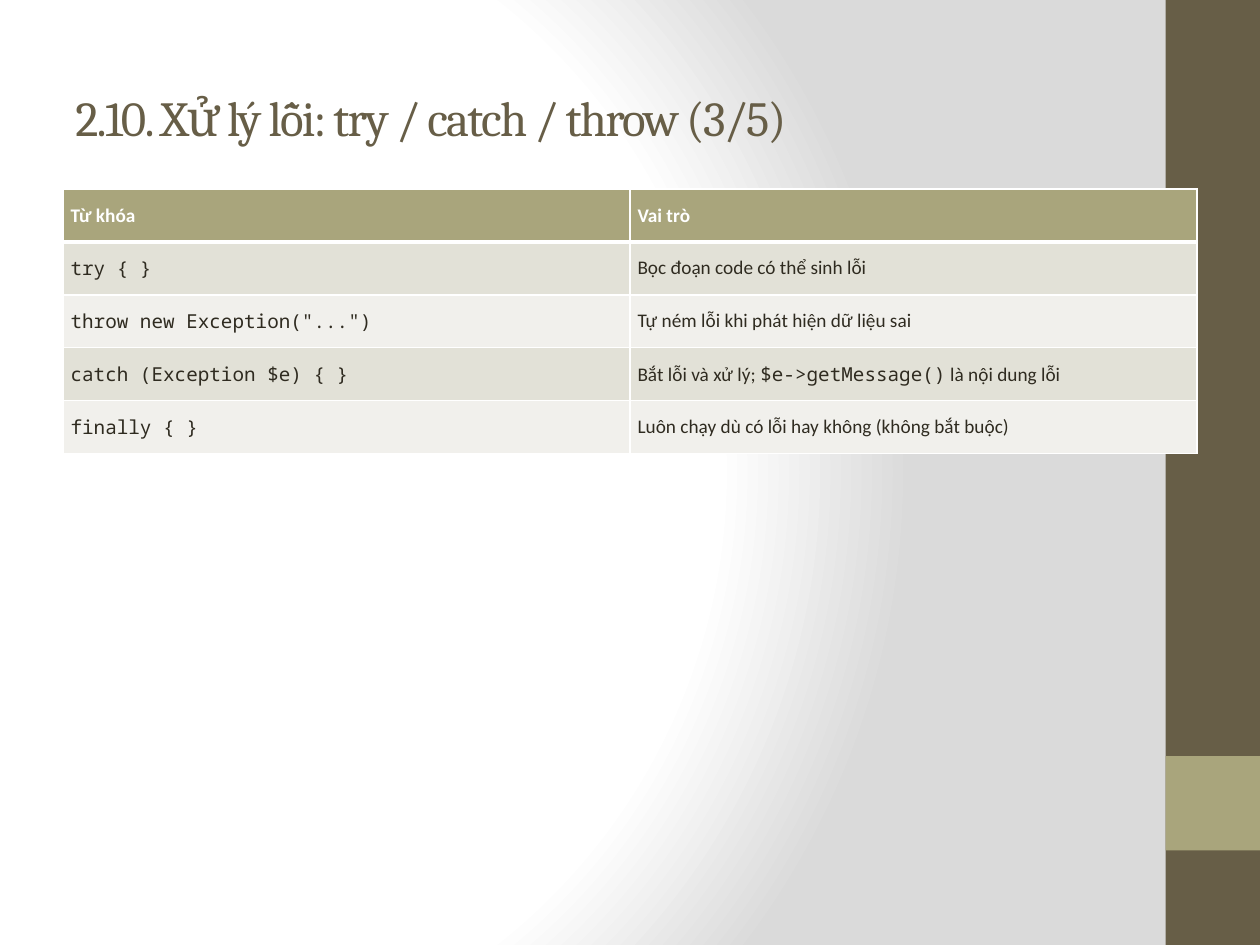
from lxml import etree
from pptx import Presentation
from pptx.dml.color import RGBColor
from pptx.enum.shapes import MSO_SHAPE
from pptx.enum.text import MSO_ANCHOR
from pptx.oxml import parse_xml
from pptx.oxml.ns import nsdecls, qn
from pptx.util import Inches, Pt

BROWN = RGBColor(0x67, 0x5E, 0x47)
OLIVE = RGBColor(0xA9, 0xA5, 0x7C)
DARK = RGBColor(0x2F, 0x2B, 0x20)
WHITE = RGBColor(0xFF, 0xFF, 0xFF)
GREY = RGBColor(0xDA, 0xDA, 0xDA)
BANDS = [RGBColor(0xE2, 0xE1, 0xD7), RGBColor(0xF1, 0xF0, 0xEC)]
HEADING, BODY, CODE = "Cambria", "Calibri", "Noto Sans Mono"

TITLE = "2.10. Xử lý lỗi: try / catch / throw (3/5)"
ROWS = [
    ([("Từ khóa", BODY)], [("Vai trò", BODY)]),
    ([("try { }", CODE)], [("Bọc đoạn code có thể sinh lỗi", BODY)]),
    ([('throw new Exception("...")', CODE)],
     [("Tự ném lỗi khi phát hiện dữ liệu sai", BODY)]),
    ([("catch (Exception $e) { }", CODE)],
     [("Bắt lỗi và xử lý; ", BODY), ("$e->getMessage()", CODE),
      (" là nội dung lỗi", BODY)]),
    ([("finally { }", CODE)],
     [("Luôn chạy dù có lỗi hay không (không bắt buộc)", BODY)]),
]
SIDEBAR = [(0, 7.5, BROWN), (6, 0.75, OLIVE)]
STOPS = [(0, WHITE), (75, WHITE), (100, GREY)]


def set_background(slide):
    slide.background.fill.gradient()
    old = next(slide.element.iter(qn("a:gradFill")))
    stops = "".join(
        f'<a:gs pos="{position * 1000}"><a:srgbClr val="{color}"/></a:gs>'
        for position, color in STOPS)
    old.getparent().replace(old, parse_xml(
        f'<a:gradFill {nsdecls("a")} rotWithShape="1"><a:gsLst>{stops}</a:gsLst>'
        '<a:path path="circle"><a:fillToRect l="20000" t="50000" r="100000" b="50000"/>'
        '</a:path></a:gradFill>'))


def add_run(paragraph, text, font, size, color, bold=False):
    run = paragraph.add_run()
    run.text = text
    run.font.name = font
    run.font.size = Pt(size)
    run.font.color.rgb = color
    run.font.bold = bold
    return run


def set_borders(cell, widths):
    properties = cell._tc.get_or_add_tcPr()
    for index, (side, width) in enumerate(widths.items()):
        line = etree.Element(qn(f"a:ln{side}"), w=str(Pt(width)))
        fill = etree.SubElement(line, qn("a:solidFill"))
        etree.SubElement(fill, qn("a:srgbClr"), val=str(WHITE))
        properties.insert(index, line)


def fill_cell(cell, runs, row):
    header = row == 0
    cell.vertical_anchor = MSO_ANCHOR.MIDDLE
    cell.margin_left = cell.margin_right = Inches(0.06)
    cell.margin_top = cell.margin_bottom = Inches(0.03)
    cell.fill.solid()
    cell.fill.fore_color.rgb = OLIVE if header else BANDS[(row - 1) % 2]
    set_borders(cell, {"L": 1, "R": 1, "T": 3 if row == 1 else 1, "B": 3 if header else 1})
    for text, font in runs:
        add_run(cell.text_frame.paragraphs[0], text, font, 11,
                WHITE if header else DARK, header)


def main():
    presentation = Presentation()
    presentation.slide_width, presentation.slide_height = Inches(10), Inches(7.5)
    slide = presentation.slides.add_slide(presentation.slide_layouts[6])
    set_background(slide)

    for top, height, color in SIDEBAR:
        shape = slide.shapes.add_shape(
            MSO_SHAPE.RECTANGLE, Inches(9.25), Inches(top), Inches(0.75), Inches(height))
        shape.shadow.inherit = False
        shape.fill.solid()
        shape.fill.fore_color.rgb = color
        shape.line.fill.background()

    title = slide.shapes.add_textbox(Inches(0.5), Inches(0.3), Inches(8.33), Inches(1.25))
    title.text_frame.word_wrap = True
    title.text_frame.vertical_anchor = MSO_ANCHOR.MIDDLE
    run = add_run(title.text_frame.paragraphs[0], TITLE, HEADING, 28, BROWN)
    run.font._element.set("spc", "-100")

    table = slide.shapes.add_table(
        len(ROWS), 2, Inches(0.5), Inches(1.5), Inches(9), Inches(0.42 * len(ROWS))).table
    for row, cells in enumerate(ROWS):
        for column, runs in enumerate(cells):
            fill_cell(table.cell(row, column), runs, row)

    presentation.save("out.pptx")


if __name__ == "__main__":
    main()
